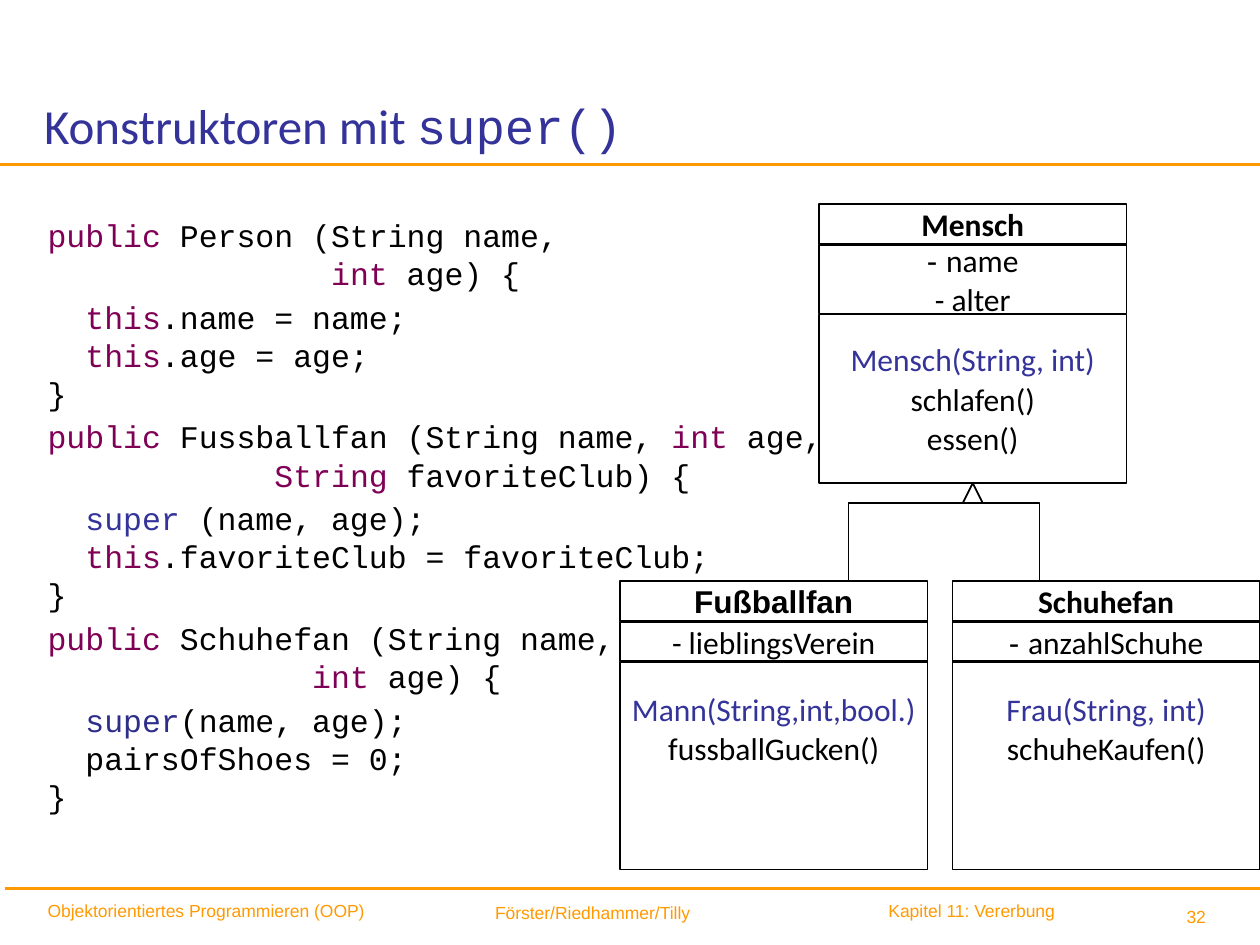
from lxml import etree
from pptx import Presentation
from pptx.dml.color import RGBColor
from pptx.enum.shapes import MSO_CONNECTOR, MSO_SHAPE
from pptx.enum.text import MSO_ANCHOR, PP_ALIGN
from pptx.oxml.ns import qn
from pptx.util import Cm, Pt

BLACK = RGBColor(0x00, 0x00, 0x00)
BLUE = RGBColor(0x33, 0x33, 0x99)
DARK_BLUE = RGBColor(0x2D, 0x2D, 0x8A)
PURPLE = RGBColor(0x7F, 0x00, 0x55)
ORANGE = RGBColor(0xFF, 0x99, 0x00)
FOOTER_ORANGE = RGBColor(0xFF, 0x9A, 0x00)

# Each block is one paragraph; text between bars is highlighted in the given colours
CODE_BLOCKS = [
    (BLUE, ["|public |Person (String name, ",
            "               |int |age) {"]),
    (BLUE, ["  |this|.name = name;",
            "  |this|.age = age;",
            "}"]),
    (BLUE, ["|public |Fussballfan (String name, |int |age, ",
            "           | String |favoriteClub) {"]),
    (BLUE, ["|  super |(name, age);",
            "  |this|.favoriteClub = favoriteClub;",
            "}"]),
    (BLUE, ["|public |Schuhefan (String name, ",
            "              |int |age) {"]),
    (DARK_BLUE, ["  |super|(name, age);",
                 "  pairsOfShoes = 0;",
                 "}"]),
]


def add_run(paragraph, text, size, font_name, color, bold=False):
    run = paragraph.add_run()
    run.text = text
    run.font.size = Pt(size)
    run.font.name = font_name
    run.font.color.rgb = color
    run.font.bold = bold


def set_insets(text_frame, left=0, top=0, right=0, bottom=0):
    text_frame.margin_left, text_frame.margin_right = Cm(left), Cm(right)
    text_frame.margin_top, text_frame.margin_bottom = Cm(top), Cm(bottom)


def add_text_frame(slide, left, top, width, height):
    text_box = slide.shapes.add_textbox(Cm(left), Cm(top), Cm(width), Cm(height))
    text_frame = text_box.text_frame
    text_frame.word_wrap = True
    return text_frame


def add_line(slide, kind, start, end, color, width):
    points = [Cm(value) for value in (*start, *end)]
    connector = slide.shapes.add_connector(kind, *points)
    connector.line.color.rgb = color
    connector.line.width = Pt(width)
    etree.SubElement(connector._element.spPr, qn("a:effectLst"))


def add_outlined_shape(slide, kind, left, top, width, height):
    shape = slide.shapes.add_shape(kind, Cm(left), Cm(top), Cm(width), Cm(height))
    shape.shadow.inherit = False
    shape.fill.background()
    shape.line.color.rgb = BLACK
    shape.line.width = Pt(1)
    return shape


def add_title(slide, left, top, width, height):
    text_frame = add_text_frame(slide, left, top, width, height)
    set_insets(text_frame)
    text_frame.vertical_anchor = MSO_ANCHOR.BOTTOM
    paragraph = text_frame.paragraphs[0]
    add_run(paragraph, "Konstruktoren mit ", 28, "Calibri", BLUE)
    add_run(paragraph, "super()", 28, "Courier New", BLUE)
    add_line(slide, MSO_CONNECTOR.STRAIGHT, (0, top + height + 0.2),
             (25.5, top + height + 0.2), ORANGE, 2)


def add_code(slide, left, top, width, height):
    text_frame = add_text_frame(slide, left, top, width, height)
    for index, (super_color, lines) in enumerate(CODE_BLOCKS):
        paragraph = text_frame.add_paragraph() if index else text_frame.paragraphs[0]
        paragraph.line_spacing = Pt(21.8)
        paragraph.space_before = Pt(3.1 if index else 0)
        for line_index, line in enumerate(lines):
            if line_index:
                paragraph.add_line_break()
            for part_index, part in enumerate(line.split("|")):
                color = BLACK
                if part_index % 2:
                    color = super_color if part.strip() == "super" else PURPLE
                if part:
                    add_run(paragraph, part, 18, "Courier New", color)


def add_compartment(slide, left, top, width, height, lines, top_inset=None):
    """Each line is a list of (text, font, colour, bold) runs."""
    shape = add_outlined_shape(slide, MSO_SHAPE.RECTANGLE, left, top, width, height)
    text_frame = shape.text_frame
    text_frame.word_wrap = False
    set_insets(text_frame, top=top_inset or 0)
    text_frame.vertical_anchor = MSO_ANCHOR.TOP if top_inset else MSO_ANCHOR.MIDDLE
    for index, runs in enumerate(lines):
        paragraph = text_frame.add_paragraph() if index else text_frame.paragraphs[0]
        paragraph.alignment = PP_ALIGN.CENTER
        paragraph.space_before = Pt(0.9 if index else 0)
        for text, font_name, color, bold in runs:
            add_run(paragraph, text, 18, font_name, color, bold)


def add_class(slide, left, top, heights, name, attributes, methods,
              name_font="Calibri", top_inset=None):
    width, gap = 6.2, 0.02
    name_height, attribute_height, method_height = heights
    add_compartment(slide, left, top, width, name_height,
                    [[(name, name_font, BLACK, True)]])
    top += name_height + gap
    add_compartment(slide, left, top, width, attribute_height,
                    [[(text, font_name, BLACK, False) for text, font_name in runs]
                     for runs in attributes])
    top += attribute_height + gap
    # The constructor comes first and is highlighted
    add_compartment(slide, left, top, width, method_height,
                    [[(method, "Calibri", BLACK if index else BLUE, False)]
                     for index, method in enumerate(methods)], top_inset)


def add_class_diagram(slide, left, top):
    add_class(slide, left + 4.01, top, (0.8, 1.38, 3.4), "Mensch",
              [[("- ", "Arial"), ("name", "Calibri")], [("- alter", "Calibri")]],
              ["Mensch(String, int)", "schlafen()", "essen()"])
    child_top, child_heights = top + 7.6, (0.8, 0.79, 4.18)
    add_class(slide, left, child_top, child_heights, "Fußballfan",
              [[("- lieblingsVerein", "Calibri")]],
              ["Mann(String,int,bool.)", "fussballGucken()"], "Arial", 0.56)
    add_class(slide, left + 6.7, child_top, child_heights, "Schuhefan",
              [[("- ", "Arial"), ("anzahlSchuhe", "Calibri")]],
              ["Frau(String, int)", "schuheKaufen()"], top_inset=0.56)

    # Inheritance arrow
    tip_x, tip_y, size = left + 7.11, top + 5.62, 0.4
    add_outlined_shape(slide, MSO_SHAPE.ISOSCELES_TRIANGLE,
                       tip_x - size / 2, tip_y, size, size)
    base_y = tip_y + size
    add_line(slide, MSO_CONNECTOR.ELBOW, (left + 2.3, child_top),
             (tip_x - size / 2, base_y), BLACK, 1)
    add_line(slide, MSO_CONNECTOR.ELBOW, (left + 9.8, child_top),
             (tip_x, base_y), BLACK, 1)


def add_footer(slide, left, top, width):
    add_line(slide, MSO_CONNECTOR.STRAIGHT, (left, top), (left + width, top), ORANGE, 2)
    entries = [
        ("Objektorientiertes Programmieren (OOP)", 0.86, 0.1, 7.34, PP_ALIGN.LEFT),
        ("Förster/Riedhammer/Tilly", 8.64, 0.15, 5.17, PP_ALIGN.RIGHT),
        ("Kapitel 11: Vererbung", 17.81, 0.1, 5.59, PP_ALIGN.LEFT),
        ("32", 22.2, 0.23, 2.01, PP_ALIGN.RIGHT),
    ]
    for text, offset, drop, entry_width, alignment in entries:
        text_frame = add_text_frame(slide, left + offset, top + drop, entry_width, 0.91)
        set_insets(text_frame, top=0.13, bottom=0.13)
        paragraph = text_frame.paragraphs[0]
        paragraph.alignment = alignment
        add_run(paragraph, text, 10, "Arial", FOOTER_ORANGE)


def main():
    presentation = Presentation()
    presentation.slide_width, presentation.slide_height = Cm(25.4), Cm(19.05)
    slide = presentation.slides.add_slide(presentation.slide_layouts[6])
    add_footer(slide, 0.1, 17.91, 25.4)
    add_title(slide, 0.89, 0.76, 15.01, 2.36)
    add_code(slide, 0.71, 4.22, 24.18, 13.69)
    add_class_diagram(slide, 12.5, 4.12)
    presentation.save("out.pptx")


if __name__ == "__main__":
    main()
